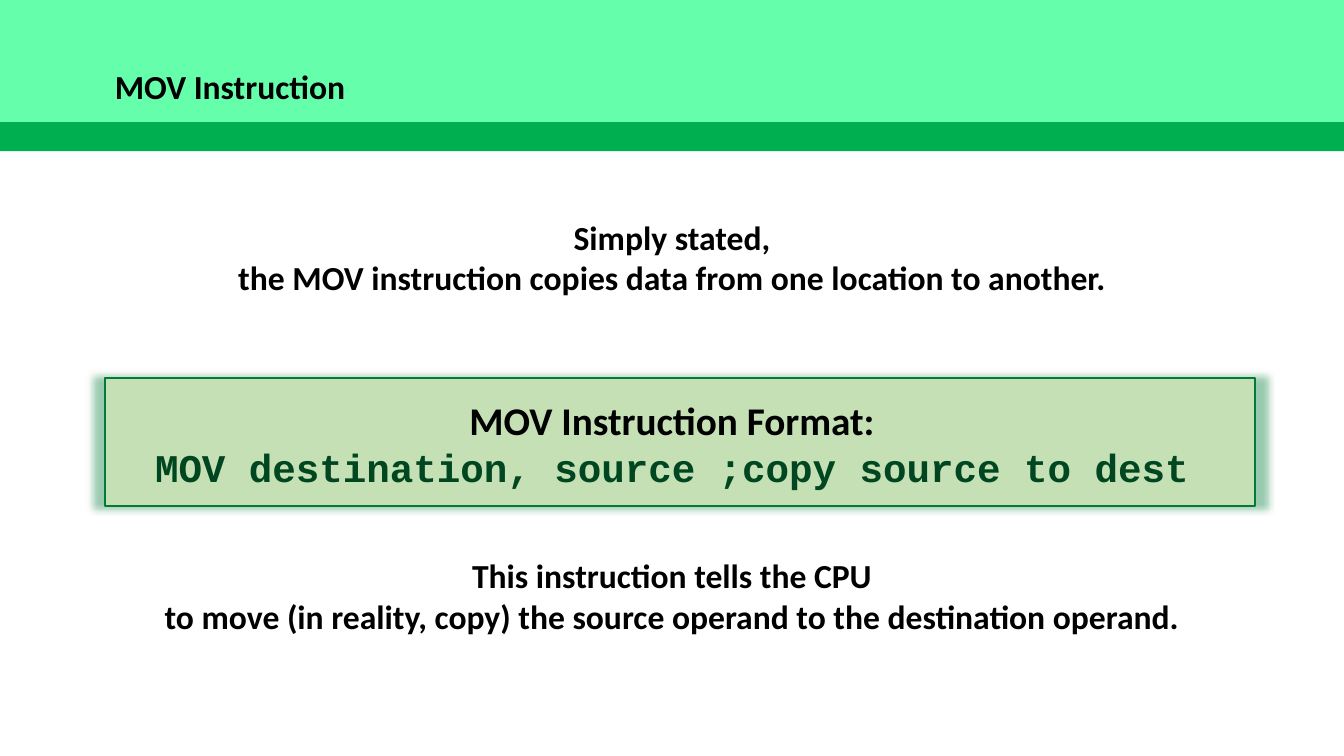
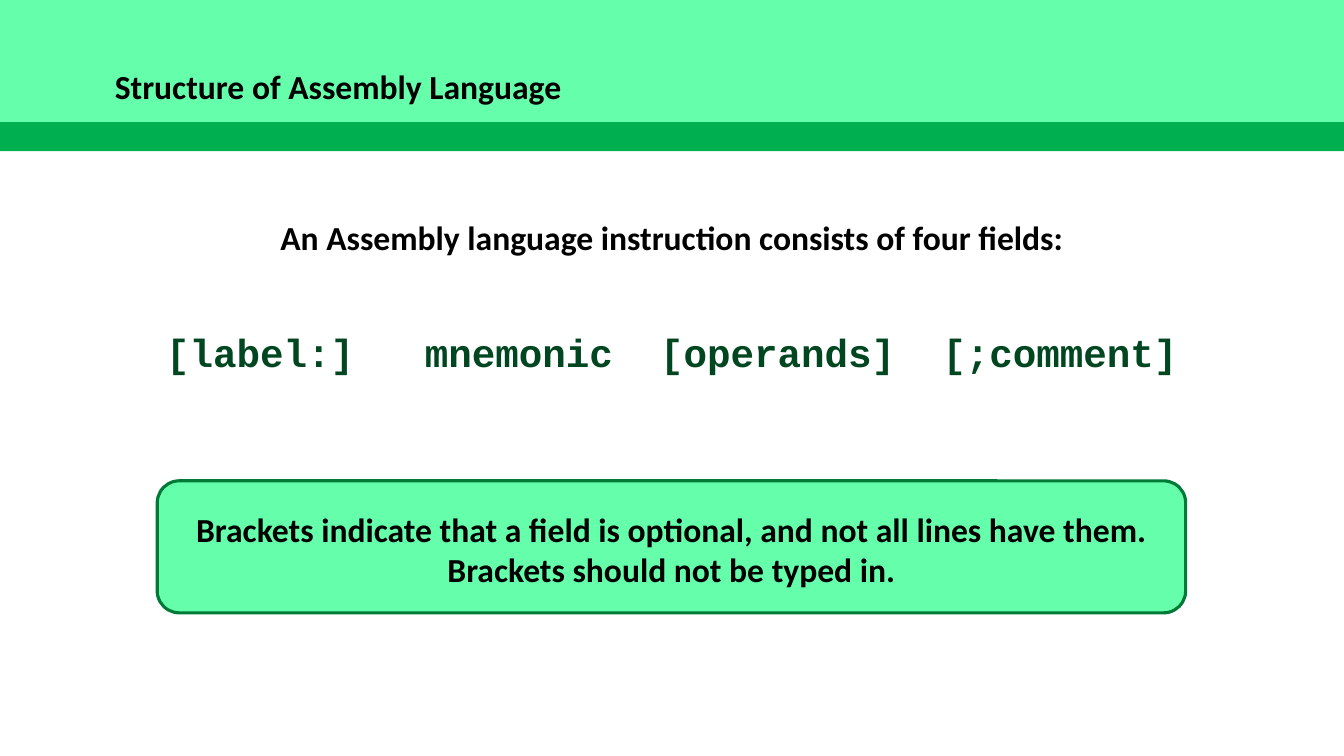
from lxml import etree
from pptx import Presentation
from pptx import util as u
from pptx.dml import color
from pptx.enum import shapes, text
from pptx.oxml import ns

WIDTH, HEIGHT = 13.33, 7.5
BLACK, MINT, GREEN = "000000", "65FFAB", "00B050"
OUTLINE, CODE_GREEN, SAGE = "007A37", "004620", "C5E0B4"
BODY_FONT, CODE_FONT = "Calibri", "Courier New"
BODY_SIZE, CODE_SIZE = 24, 28
CHARACTER_WIDTH = CODE_SIZE * 0.6 / 72


def rgb(value):
    """Turn a hex string into a colour."""
    return color.RGBColor.from_string(value)


def add_panel(slide, box, fill, line_width=0, kind=shapes.MSO_SHAPE.RECTANGLE):
    """Add a filled shape, outlined when a line width is given."""
    shape = slide.shapes.add_shape(kind, *map(u.Inches, box))
    shape.shadow.inherit = False
    shape.fill.solid()
    shape.fill.fore_color.rgb = rgb(fill)
    if line_width:
        shape.line.color.rgb = rgb(OUTLINE)
        shape.line.width = u.Pt(line_width)
    else:
        shape.line.fill.background()
    return shape


def add_glow_shadow(shape):
    """Give a shape a soft shadow slightly larger than itself."""
    effects = shape._element.spPr.find(ns.qn("a:effectLst"))
    shadow = etree.SubElement(
        effects, ns.qn("a:outerShdw"), blurRad=str(u.Pt(5)), sx="102000",
        sy="102000", algn="ctr", rotWithShape="0")
    tint = etree.SubElement(shadow, ns.qn("a:srgbClr"), val=OUTLINE)
    etree.SubElement(tint, ns.qn("a:alpha"), val="40000")


def format_paragraph(paragraph, size=BODY_SIZE, font=BODY_FONT, ink=BLACK):
    """Set the bold type of every run in a paragraph."""
    for run in paragraph.runs:
        run.font.name = font
        run.font.size = u.Pt(size)
        run.font.bold = True
        run.font.color.rgb = rgb(ink)


def add_text(slide, box, lines, align=text.PP_ALIGN.CENTER):
    """Add a wrapping text box and return its paragraphs."""
    frame = slide.shapes.add_textbox(*map(u.Inches, box)).text_frame
    frame.word_wrap = True
    frame.text = "\n".join(lines)
    for paragraph in frame.paragraphs:
        paragraph.alignment = align
        format_paragraph(paragraph)
    return frame.paragraphs


def add_header(slide, title):
    """Add the two green bands and the slide title."""
    add_panel(slide, (0, 0, WIDTH, 1.5), GREEN)
    add_panel(slide, (0, 0, WIDTH, 1.21), MINT)
    add_text(slide, (1.04, 0.6, 11.26, 0.5), [title], text.PP_ALIGN.LEFT)


def add_format_box(slide, box, heading, code):
    """Add the shadowed box that shows an instruction format."""
    add_glow_shadow(add_panel(slide, box, SAGE, 1.5))
    heading_line, code_line = add_text(
        slide, (0, box[1] + 0.13, WIDTH, 1.04), [heading, code])
    format_paragraph(heading_line, CODE_SIZE)
    format_paragraph(code_line, CODE_SIZE, CODE_FONT, CODE_GREEN)


def add_field_row(slide, box, fields, columns):
    """Add code fields on one line at the given character columns."""
    paragraph = add_text(slide, box, ["\t".join(fields)], text.PP_ALIGN.LEFT)[0]
    stops = etree.SubElement(paragraph._p.get_or_add_pPr(), ns.qn("a:tabLst"))
    for column in columns:
        position = u.Inches(column * CHARACTER_WIDTH)
        etree.SubElement(stops, ns.qn("a:tab"), pos=str(position), algn="l")
    format_paragraph(paragraph, CODE_SIZE, CODE_FONT, CODE_GREEN)


def add_note(slide, box, note):
    """Add a rounded box with a centred note."""
    left, top, width, height = box
    add_panel(slide, box, MINT, 2.25, shapes.MSO_SHAPE.ROUNDED_RECTANGLE)
    add_text(slide, (left, top + 0.23, width, 0.91), [note])


def build_mov_slide(slide):
    """Explain the MOV instruction and its format."""
    add_header(slide, "MOV Instruction")
    add_text(slide, (0, 2.1, WIDTH, 0.91), [
        "Simply stated,",
        "the MOV instruction copies data from one location to another."])
    add_format_box(slide, (1.04, 3.75, 11.41, 1.27), "MOV Instruction Format:",
                   "MOV destination, source ;copy source to dest")
    add_text(slide, (0, 5.46, WIDTH, 0.91), [
        "This instruction tells the CPU",
        "to move (in reality, copy) the source operand to the destination operand."])


def build_structure_slide(slide):
    """Show the four fields of an instruction."""
    add_header(slide, "Structure of Assembly Language")
    add_text(slide, (0, 2.1, WIDTH, 0.5),
             ["An Assembly language instruction consists of four fields:"])
    add_field_row(slide, (1.55, 3.21, 10.4, 0.57),
                  ["[label:]", "mnemonic", "[operands]", "[;comment]"], (11, 21, 33))
    add_note(slide, (1.56, 4.77, 10.2, 1.31),
             "Brackets indicate that a field is optional, and not all lines "
             "have them. Brackets should not be typed in.")


def main():
    """Build and save the presentation."""
    presentation = Presentation()
    presentation.slide_width = u.Inches(WIDTH)
    presentation.slide_height = u.Inches(HEIGHT)
    for build in (build_mov_slide, build_structure_slide):
        build(presentation.slides.add_slide(presentation.slide_layouts[6]))
    presentation.save("out.pptx")


if __name__ == "__main__":
    main()
